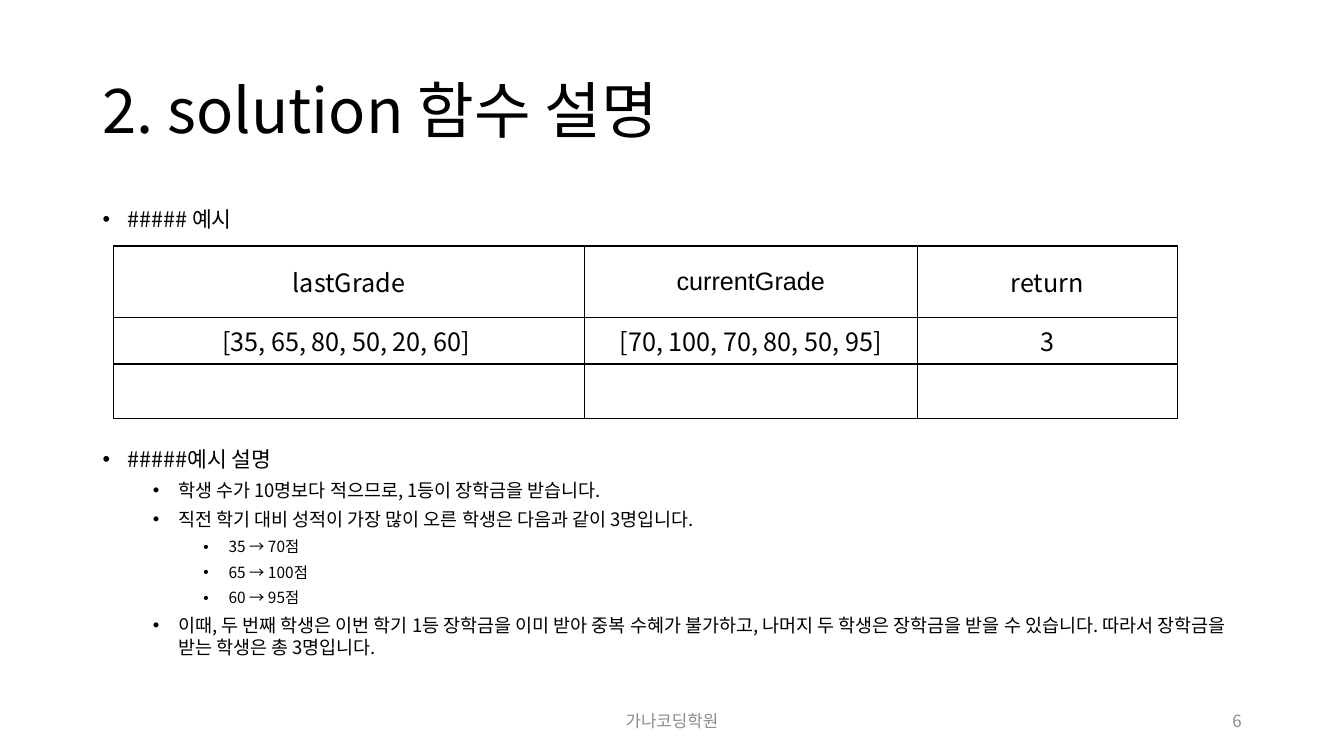
from pptx import Presentation
from pptx import util as u
from pptx.dml import color
from pptx.enum import text
from pptx.oxml import ns
from lxml import etree

FONT = "Noto Sans CJK KR"
COLORS = {"text": "000000", "muted": "8C8C8C", "border": "000000"}
TITLE = "2. solution 함수 설명"
# (level, space before in points, text)
BODY = [
    (0, 0, "##### 예시"),
    (0, 153, "#####예시 설명"),
    (1, 5, "학생 수가 10명보다 적으므로, 1등이 장학금을 받습니다."),
    (1, 5, "직전 학기 대비 성적이 가장 많이 오른 학생은 다음과 같이 3명입니다."),
    (2, 5, "35 → 70점"),
    (2, 5, "65 → 100점"),
    (2, 5, "60 → 95점"),
    (1, 5, "이때, 두 번째 학생은 이번 학기 1등 장학금을 이미 받아 중복 수혜가 불가하고, "
           "나머지 두 학생은 장학금을 받을 수 있습니다. 따라서 장학금을 받는 학생은 총 3명입니다."),
]
LEVEL_SIZES = [15.4, 13.2, 11]
GRADES = [
    ["lastGrade", "currentGrade", "return"],
    ["[35, 65, 80, 50, 20, 60] ", "[70, 100, 70, 80, 50, 95]", "3"],
    ["", "", ""],
]
CELL_FONTS = {"currentGrade": "Arial"}
COL_WIDTHS = [11.85, 8.4, 6.55]
ROW_HEIGHTS = [1.8, 1.17, 1.37]
# (left, width, alignment, text)
FOOTERS = [
    (11.22, 11.43, text.PP_ALIGN.CENTER, "가나코딩학원"),
    (23.92, 7.62, text.PP_ALIGN.RIGHT, "6"),
]


def place(shape, left, top, width, height):
    """Move and size a shape, in centimetres."""
    shape.left, shape.top = u.Cm(left), u.Cm(top)
    shape.width, shape.height = u.Cm(width), u.Cm(height)


def style(p, size, align, name=FONT, shade="text"):
    """Set a paragraph's unkerned font, for Latin and Korean alike, and its alignment."""
    p.alignment = align
    p.font.size = u.Pt(size)
    p.font.name = name
    p.font.color.rgb = color.RGBColor.from_string(COLORS[shade])
    defaults = p._p.pPr.find(ns.qn("a:defRPr"))
    defaults.set("kern", "0")
    ea = etree.Element(ns.qn("a:ea"), typeface=name)
    defaults.find(ns.qn("a:latin")).addnext(ea)


def bullet(p, level):
    """Give a paragraph a round bullet with a hanging indent."""
    pPr = p._p.get_or_add_pPr()
    pPr.set("marL", str(u.Cm(0.635 + 1.27 * level)))
    pPr.set("indent", str(-u.Cm(0.635)))
    font = etree.Element(ns.qn("a:buFont"), typeface="Arial")
    char = etree.Element(ns.qn("a:buChar"), char="•")
    pPr.find(ns.qn("a:defRPr")).addprevious(font)
    font.addnext(char)


def border(cell):
    """Draw a one-point line on all four sides of a cell."""
    tcPr = cell._tc.get_or_add_tcPr()
    for i, side in enumerate(("lnL", "lnR", "lnT", "lnB")):
        ln = etree.Element(ns.qn("a:" + side), w=str(u.Pt(1)))
        fill = etree.SubElement(ln, ns.qn("a:solidFill"))
        etree.SubElement(fill, ns.qn("a:srgbClr"), val=COLORS["border"])
        tcPr.insert(i, ln)


def add_title(s):
    """Fill the title placeholder."""
    place(s.shapes.title, 2.33, 1.01, 29.21, 3.68)
    tf = s.shapes.title.text_frame
    tf.text = TITLE
    tf.auto_size = text.MSO_AUTO_SIZE.NONE
    tf.vertical_anchor = text.MSO_ANCHOR.MIDDLE
    tf.paragraphs[0].line_spacing = 0.9
    style(tf.paragraphs[0], 44, text.PP_ALIGN.LEFT)


def add_body(s):
    """Fill the body placeholder, leaving room for the table."""
    body = s.placeholders[1]
    place(body, 2.33, 5.07, 29.21, 12.09)
    tf = body.text_frame
    tf.text = "\n".join(line for _, _, line in BODY)
    tf.auto_size = text.MSO_AUTO_SIZE.NONE
    for p, (level, before, _) in zip(tf.paragraphs, BODY):
        p.level = level
        p.line_spacing = 1.0
        p.space_before = u.Pt(before)
        style(p, LEVEL_SIZES[level], text.PP_ALIGN.LEFT)
        bullet(p, level)


def add_grades(s):
    """Add the table of example grades."""
    frame = s.shapes.add_table(len(ROW_HEIGHTS), len(COL_WIDTHS), u.Cm(2.87), u.Cm(6.2),
                               u.Cm(sum(COL_WIDTHS)), u.Cm(sum(ROW_HEIGHTS)))
    table = frame.table
    table.first_row = table.horz_banding = False
    for column, width in zip(table.columns, COL_WIDTHS):
        column.width = u.Cm(width)
    for row, height, values in zip(table.rows, ROW_HEIGHTS, GRADES):
        row.height = u.Cm(height)
        for cell, value in zip(row.cells, values):
            cell.text = value
            cell.vertical_anchor = text.MSO_ANCHOR.MIDDLE
            cell.fill.background()
            border(cell)
            style(cell.text_frame.paragraphs[0], 18, text.PP_ALIGN.CENTER,
                  CELL_FONTS.get(value, FONT))


def add_footers(s):
    """Add the school name and the page number."""
    for left, width, align, words in FOOTERS:
        tf = s.shapes.add_textbox(u.Cm(left), u.Cm(17.65), u.Cm(width), u.Cm(1.01)).text_frame
        tf.text = words
        tf.word_wrap = True
        tf.vertical_anchor = text.MSO_ANCHOR.MIDDLE
        style(tf.paragraphs[0], 12, align, shade="muted")


prs = Presentation()
prs.slide_width, prs.slide_height = u.Cm(33.87), u.Cm(19.05)
s = prs.slides.add_slide(prs.slide_layouts[1])
add_title(s)
add_body(s)
add_grades(s)
add_footers(s)
prs.save("out.pptx")
